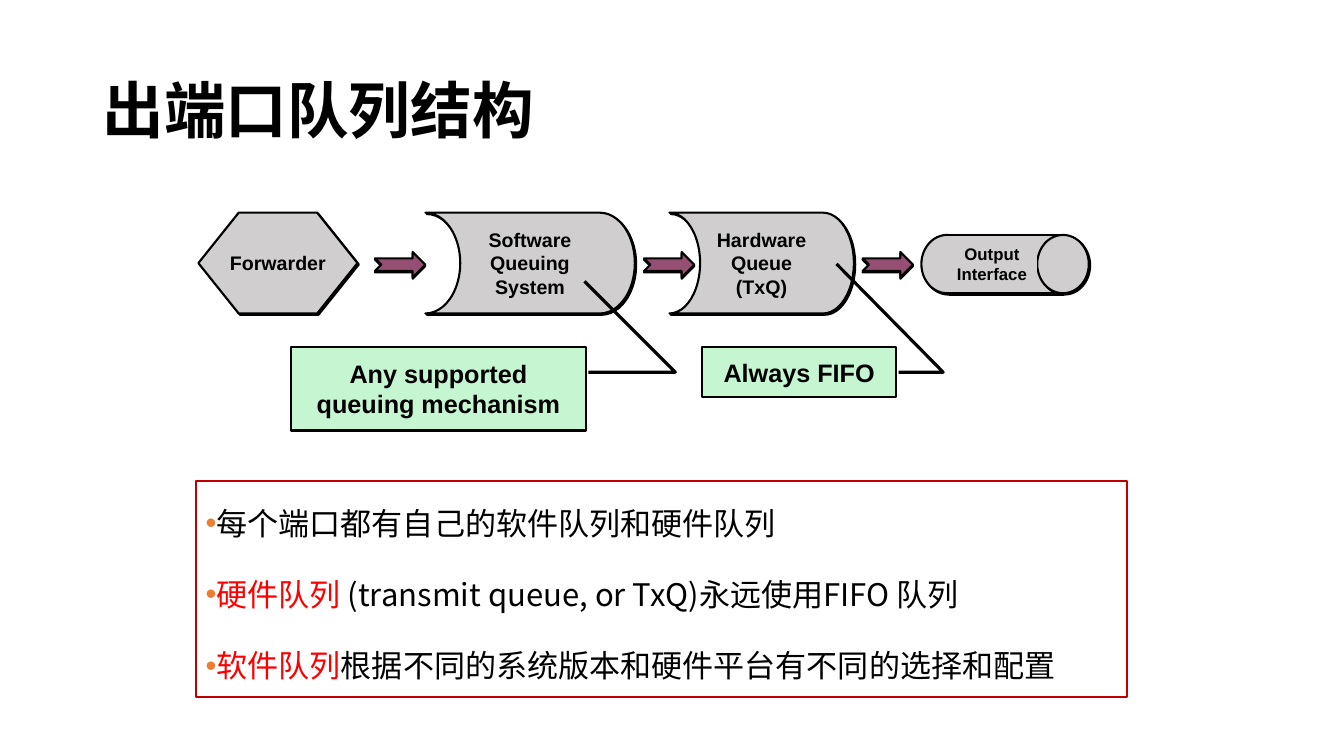
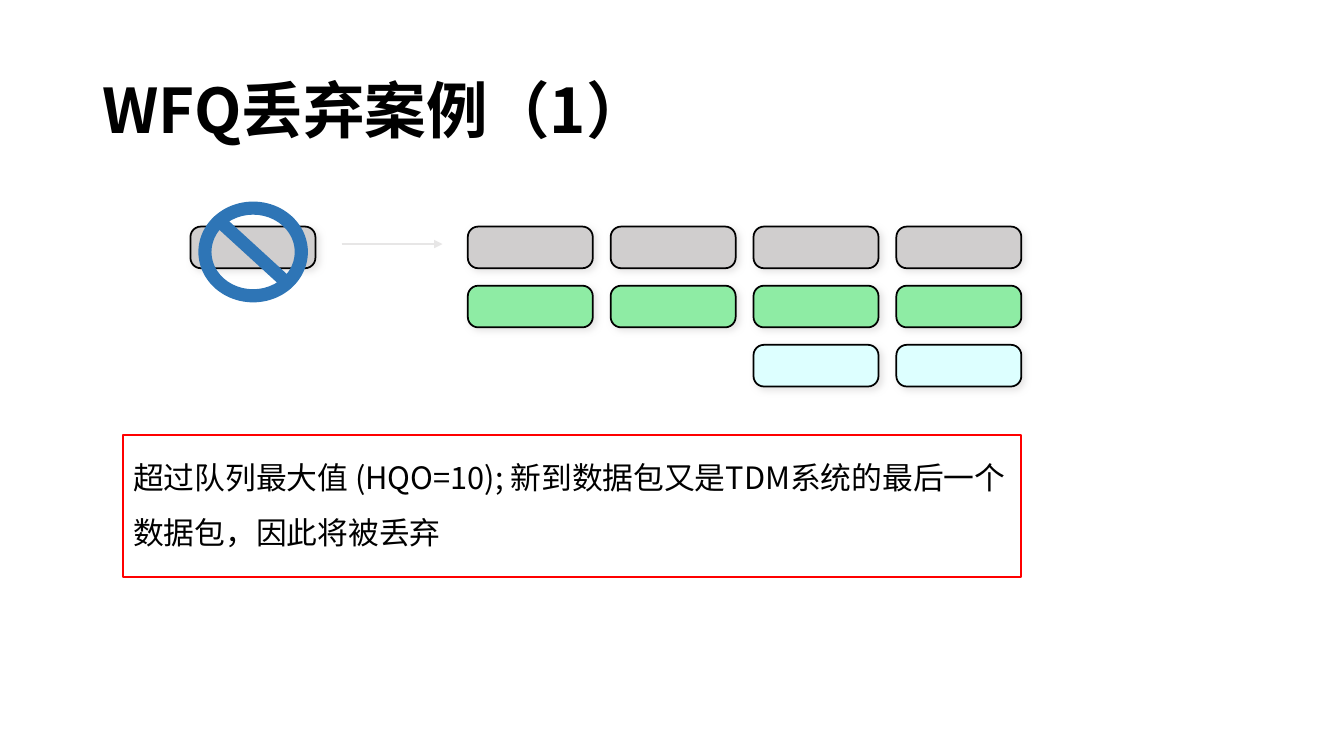
from lxml import etree
from pptx import Presentation
from pptx.dml import color
from pptx.enum import shapes as kinds, text
from pptx.oxml import ns
from pptx.util import Cm, Pt

COLORS = {
    "ink": "000000", "grey": "D0CECE", "green": "8EECA4", "cyan": "DDFFFF",
    "plum": "954F72", "blue": "2E75B6", "pale": "E7E6E6", "bullet": "ED7D31",
    "red": "FF0000", "dark_red": "C00000",
}
TITLE_FONT, BODY_FONT, LABEL_FONT = "Noto Sans CJK SC", "Noto Sans CJK JP", "Arial"
SHAPE = kinds.MSO_SHAPE
# Shadows: colour, blur (pt), distance (pt), direction (degrees)
EDGE_SHADOW = ("ink", 0, 1.4, 45)
ARROW_SHADOW = ("ink", 0, 1, 90)
SOFT_SHADOW = ("pale", 5, 2.8, 45)


# Shared helpers
def rgb(name):
    return color.RGBColor.from_string(COLORS[name])


def sub(parent, tag, **attributes):
    return etree.SubElement(parent, ns.qn(tag), {k: str(v) for k, v in attributes.items()})


def place(shape, box):
    shape.left, shape.top, shape.width, shape.height = (Cm(v) for v in box)


def set_shadow(shape, shadow=None):
    properties = shape._element.spPr
    for old in properties.findall(ns.qn("a:effectLst")):
        properties.remove(old)
    effects = sub(properties, "a:effectLst")
    if shadow:
        name, blur, distance, angle = shadow
        outer = sub(effects, "a:outerShdw", blurRad=int(Pt(blur)), dist=int(Pt(distance)),
                    dir=angle * 60000, algn="ctr", rotWithShape=0)
        sub(outer, "a:srgbClr", val=COLORS[name])


def paint(shape, fill=None, line="ink", width=1.5, shadow=None):
    if fill:
        shape.fill.solid()
        shape.fill.fore_color.rgb = rgb(fill)
    else:
        shape.fill.background()
    if line:
        shape.line.color.rgb = rgb(line)
        shape.line.width = Pt(width)
    else:
        shape.line.fill.background()
    set_shadow(shape, shadow)


def add_part(parent, kind, box, **style):
    part = parent.shapes.add_shape(kind, *(Cm(v) for v in box))
    paint(part, **style)
    return part


def add_line(parent, start, end, name="ink", shadow=None):
    line = parent.shapes.add_connector(kinds.MSO_CONNECTOR.STRAIGHT,
                                       *(Cm(v) for v in start + end))
    line.line.color.rgb = rgb(name)
    line.line.width = Pt(1.5)
    set_shadow(line, shadow)
    return line


def set_font(paragraph, name, size, bold=False):
    font = paragraph.font
    font.name, font.size, font.bold = name, Pt(size), bold
    font.color.rgb = rgb("ink")
    sub(paragraph._p.pPr.find(ns.qn("a:defRPr")), "a:ea", typeface=name)


def label(shape, lines, size, wrap=False):
    frame = shape.text_frame
    frame.word_wrap = wrap
    frame.vertical_anchor = text.MSO_ANCHOR.MIDDLE
    frame.text = "\n".join(lines)
    for paragraph in frame.paragraphs:
        paragraph.alignment = text.PP_ALIGN.CENTER
        set_font(paragraph, LABEL_FONT, size, bold=True)


def add_titled_slide(deck, heading):
    slide = deck.slides.add_slide(deck.slide_layouts[1])
    title = slide.shapes.title
    place(title, (2.33, 1.01, 29.21, 3.68))
    title.text_frame.text = heading
    title.text_frame.auto_size = text.MSO_AUTO_SIZE.NONE
    title.text_frame.vertical_anchor = text.MSO_ANCHOR.MIDDLE
    paragraph = title.text_frame.paragraphs[0]
    paragraph.alignment = text.PP_ALIGN.LEFT
    paragraph.line_spacing = 0.9
    set_font(paragraph, TITLE_FONT, 44, bold=True)
    return slide


def fill_body(slide, box, items, size, border, bulleted):
    """Each item is a list of (words, colour name) pairs."""
    body = slide.placeholders[1]
    place(body, box)
    body.line.color.rgb = rgb(border)
    body.line.width = Pt(1.5)
    frame = body.text_frame
    frame.auto_size = text.MSO_AUTO_SIZE.NONE
    frame.vertical_anchor = text.MSO_ANCHOR.TOP
    for index, item in enumerate(items):
        paragraph = frame.add_paragraph() if index else frame.paragraphs[0]
        paragraph.line_spacing = Pt(39.5)
        paragraph.space_before = Pt(11.5 if index else 0)
        properties = paragraph._p.get_or_add_pPr()
        properties.set("marL", "0")
        properties.set("indent", "0")
        if bulleted:
            sub(sub(properties, "a:buClr"), "a:srgbClr", val=COLORS["bullet"])
            sub(properties, "a:buFont", typeface=LABEL_FONT)
            sub(properties, "a:buChar", char="•")
        else:
            sub(properties, "a:buNone")
        set_font(paragraph, BODY_FONT, size)
        for words, name in item:
            run = paragraph.add_run()
            run.text = words
            if name != "ink":
                run.font.color.rgb = rgb(name)


# Parts of the output queue diagram
def add_queue(slide, box, lines):
    queue = add_part(slide, SHAPE.FLOWCHART_STORED_DATA, box, fill="grey", shadow=EDGE_SHADOW)
    queue._element.spPr.xfrm.set("flipH", "1")
    label(queue, lines, 14)


def add_interface(slide, box, lines):
    left, top, width, height = box
    cap = 1.3
    start, end = left + cap / 2, left + width - cap / 2
    bottom = top + height
    solid = {"fill": "grey", "shadow": EDGE_SHADOW}
    pipe = slide.shapes.add_group_shape()
    add_part(pipe, SHAPE.FLOWCHART_CONNECTOR, (left, top, cap, height), **solid)
    add_part(pipe, SHAPE.FLOWCHART_PROCESS, (start, top, end - start, height),
             line=None, **solid)
    add_line(pipe, (start, bottom), (end, bottom), shadow=EDGE_SHADOW)
    add_line(pipe, (start, top), (end, top))
    add_part(pipe, SHAPE.FLOWCHART_CONNECTOR, (end - cap / 2, top, cap, height), **solid)
    caption = add_part(pipe, SHAPE.RECTANGLE, (start, top + 0.1, 2.26, height - 0.2),
                       fill="grey", line=None)
    label(caption, lines, 12)


def add_callout(slide, box, words, elbow_x, target):
    left, top, width, height = box
    callout = slide.shapes.add_group_shape()
    note = add_part(callout, SHAPE.RECTANGLE, box, fill="green")
    tint = note._element.spPr.find(ns.qn("a:solidFill"))[0]
    sub(tint, "a:alpha", val=50000)
    label(note, [words], 18, wrap=True)
    # Leader from the right side to the described part
    level = Cm(top + 0.64)
    leader = callout.shapes.build_freeform(Cm(left + width + 0.07), level)
    leader.add_line_segments([(Cm(elbow_x), level), tuple(Cm(v) for v in target)], close=False)
    paint(leader.convert_to_shape(), width=2.25)


def add_pipeline(slide, left, top):
    height = 2.54
    add_queue(slide, (left + 11.87, top, 4.65, height), ["Hardware", "Queue", "(TxQ)"])
    add_queue(slide, (left + 5.72, top, 5.28, height), ["Software", "Queuing", "System"])
    add_interface(slide, (left + 18.22, top + 0.56, 4.22, 1.47), ["Output", "Interface"])
    for offset in (4.45, 11.23, 16.74):
        add_part(slide, SHAPE.NOTCHED_RIGHT_ARROW, (left + offset, top + 0.99, 1.27, 0.64),
                 fill="plum", shadow=ARROW_SHADOW)
    forwarder = add_part(slide, SHAPE.HEXAGON, (left, top, 4.01, height),
                         fill="grey", shadow=EDGE_SHADOW)
    forwarder.adjustments[0] = 0.4
    label(forwarder, ["Forwarder"], 14)


def build_queue_structure(deck):
    slide = add_titled_slide(deck, "出端口队列结构")
    add_pipeline(slide, 5, 5.36)
    add_callout(slide, (7.34, 8.74, 7.42, 2.11), "Any supported queuing mechanism",
                17.02, (14.73, 7.09))
    add_callout(slide, (17.7, 8.74, 4.88, 1.27), "Always FIFO", 23.77, (21.08, 6.65))
    fill_body(slide, (4.93, 12.12, 23.47, 5.44), [
        [("每个端口都有自己的软件队列和硬件队列", "ink")],
        [("硬件队列 ", "red"), ("(transmit queue, or TxQ)永远使用FIFO 队列", "ink")],
        [("软件队列", "red"), ("根据不同的系统版本和硬件平台有不同的选择和配置", "ink")],
    ], 22.2, "dark_red", bulleted=True)


# Parts of the packet drop example
def add_packet(slide, left, top, fill):
    packet = add_part(slide, SHAPE.ROUNDED_RECTANGLE, (left, top, 3.15, 1.05),
                      fill=fill, width=1.25, shadow=SOFT_SHADOW)
    packet.adjustments[0] = 0.25


def add_packet_queues(slide, left, top):
    columns, step_x, step_y = 4, 3.6, 1.49
    for row, (fill, count) in enumerate((("grey", 4), ("green", 4), ("cyan", 2))):
        for column in range(columns - count, columns):
            add_packet(slide, left + column * step_x, top + row * step_y, fill)


def add_dropped_packet(slide, left, top):
    add_packet(slide, left, top, "grey")
    arrow = add_line(slide, (left + 3.81, top + 0.44), (left + 6.35, top + 0.44), "pale")
    sub(arrow.line._get_or_add_ln(), "a:tailEnd", type="triangle")
    ban = add_part(slide, SHAPE.NO_SYMBOL, (left + 0.2, top - 0.63, 2.76, 2.54),
                   fill="blue", line=None)
    ban.adjustments[0] = 0.13


def build_drop_example(deck):
    slide = add_titled_slide(deck, "WFQ丢弃案例（1）")
    add_packet_queues(slide, 11.79, 5.71)
    add_dropped_packet(slide, 4.8, 5.71)
    fill_body(slide, (3.1, 10.97, 22.63, 3.56), [
        [("超过队列最大值 (HQO=10); 新到数据包又是TDM系统的最后一个数据包，因此将被丢弃", "ink")],
    ], 22, "red", bulleted=False)


def main():
    deck = Presentation()
    deck.slide_width, deck.slide_height = Cm(33.87), Cm(19.05)
    build_queue_structure(deck)
    build_drop_example(deck)
    deck.save("out.pptx")


if __name__ == "__main__":
    main()
